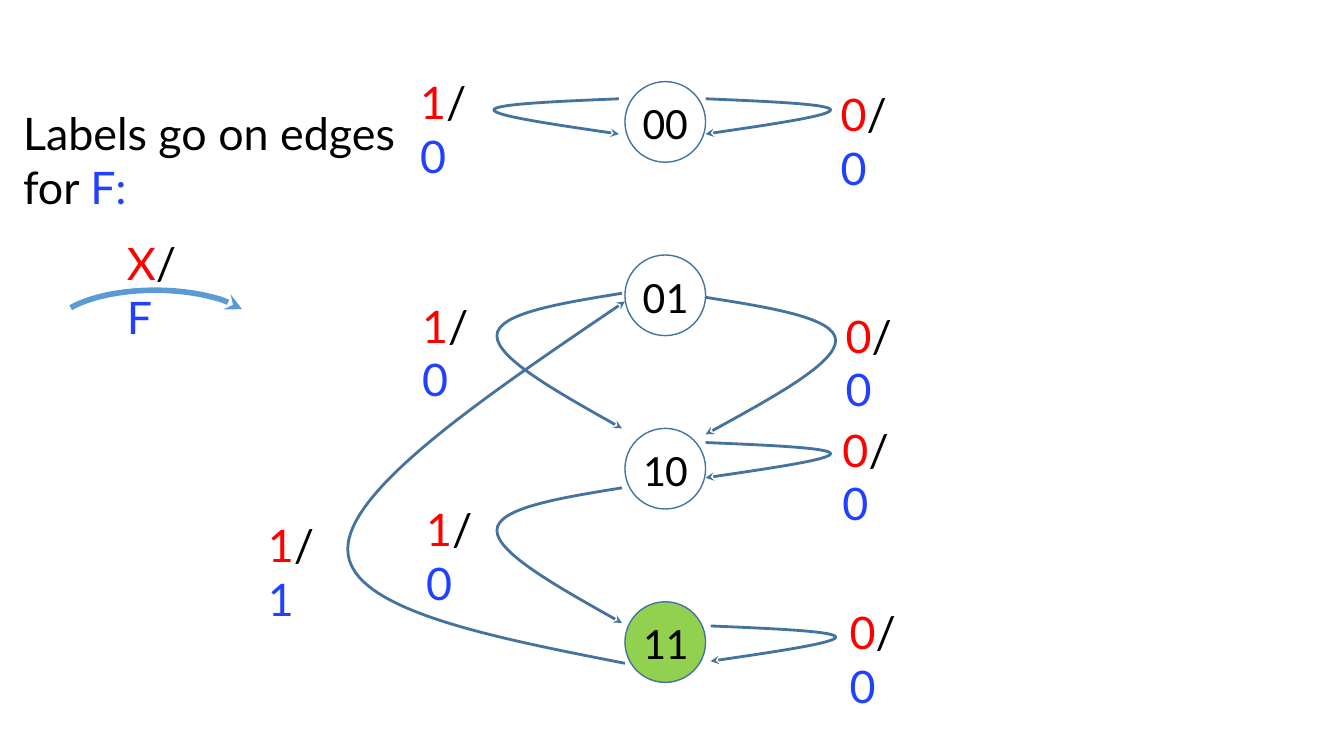
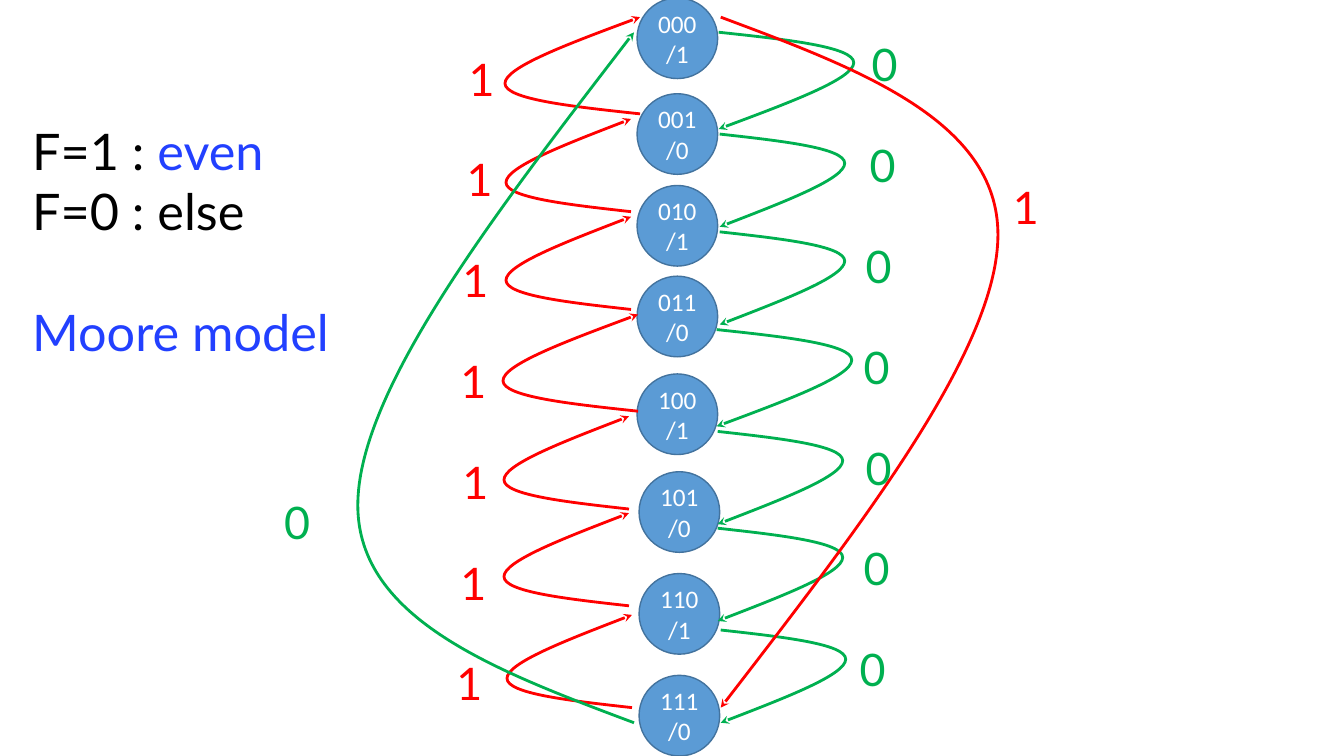
import lxml.etree
import pptx
import pptx.dml.color
import pptx.enum.shapes
import pptx.enum.text
import pptx.oxml.ns
import pptx.util

# Every length is in grid cells; the slide has 133.33 columns and 75 rows
COLS, ROWS = 133.33, 75
CELL = pptx.util.Inches(0.1)

BLACK, WHITE = "000000", "FFFFFF"
RED, BLUE, GREEN = "FF0000", "2240FF", "00B050"
NODE_FILL, NODE_EDGE, ACCEPT = "5B9BD5", "43739E", "92D050"
BODY_FONT, NODE_FONT = "Lato", "Calibri"
NODE_SIZE = 8

SHAPE = pptx.enum.shapes.MSO_SHAPE
ALIGN = pptx.enum.text.PP_ALIGN
ANCHOR = pptx.enum.text.MSO_ANCHOR
qn = pptx.oxml.ns.qn


def grid(*cells):
    return [pptx.util.Emu(round(c * CELL)) for c in cells]


def paint(fmt, color):
    """Give a fill or a font one solid colour."""
    if hasattr(fmt, "solid"):
        fmt.solid()
        fmt.fore_color.rgb = pptx.dml.color.RGBColor.from_string(color)
    else:
        fmt.color.rgb = pptx.dml.color.RGBColor.from_string(color)


def write(tf, lines, size, font=BODY_FONT, align=ALIGN.LEFT):
    """Write lines, each a list of (text, colour) runs."""
    for i, runs in enumerate(lines):
        p = tf.paragraphs[0] if i == 0 else tf.add_paragraph()
        p.alignment = align
        for text, color in runs:
            r = p.add_run()
            r.text = text
            r.font.size = pptx.util.Pt(size)
            r.font.name = font
            paint(r.font, color)


def add_text(s, box, lines, size=32, anchor=ANCHOR.TOP):
    sp = s.shapes.add_textbox(*grid(*box))
    tf = sp.text_frame
    tf.word_wrap = True
    tf.vertical_anchor = anchor
    write(tf, lines, size)
    return sp


def add_node(s, x, y, lines, size, fill, color):
    sp = s.shapes.add_shape(SHAPE.OVAL, *grid(x, y, NODE_SIZE, NODE_SIZE))
    sp.shadow.inherit = False
    paint(sp.fill, fill)
    paint(sp.line.fill, NODE_EDGE)
    sp.line.width = pptx.util.Pt(1)
    tf = sp.text_frame
    tf.margin_left = tf.margin_right = tf.margin_top = tf.margin_bottom = 0
    tf.word_wrap = True
    tf.vertical_anchor = ANCHOR.MIDDLE
    write(tf, [[(text, color)] for text in lines], size, NODE_FONT, ALIGN.CENTER)


def style_arrow(sp, color, width):
    sp.shadow.inherit = False
    sp.fill.background()
    paint(sp.line.fill, color)
    sp.line.width = pptx.util.Pt(width)
    ln = sp.line._get_or_add_ln()
    lxml.etree.SubElement(ln, qn("a:tailEnd"), type="stealth")


def add_edge(s, x, y, bulge, drop, color):
    """Curved arrow from (x, y) to (x, y + drop), bulging sideways."""
    shares = [(0.5, 0.075), (1, 0.15), (1, 0.315), (1, 0.48), (0.5, 0.74), (0, 1)]
    points = [grid(x + bulge * u, y + drop * v) for u, v in shares]
    builder = s.shapes.build_freeform(*grid(x, y))
    builder.add_line_segments(points, close=False)
    sp = builder.convert_to_shape()
    # Each three straight segments become one cubic curve
    outline = next(sp._element.iter(qn("a:path")))
    segments = outline.findall(qn("a:lnTo"))
    for i in range(0, len(segments), 3):
        curve = lxml.etree.SubElement(outline, qn("a:cubicBezTo"))
        for segment in segments[i:i + 3]:
            curve.append(segment[0])
            outline.remove(segment)
    style_arrow(sp, color, 2)


def add_io_label(s, x, y, given, result):
    add_text(s, (x, y, 8.6, 6.4), [[(given, RED), ("/", BLACK), (result, BLUE)]])


def add_digit(s, x, y, digit, color):
    add_text(s, (x, y, 4.4, 6.4), [[(digit, color)]])


def mealy_slide(s):
    # States
    for i, name in enumerate(["00", "01", "10", "11"]):
        fill = ACCEPT if name == "11" else WHITE
        add_node(s, 62, 8.1 + 17.2 * i, [name], 32, fill, BLACK)

    # Transitions: start x, start y, bulge, drop
    edges = [(70, 9.8, 12.4, 3.5), (70, 29.5, 12.9, 13.6),
             (70, 43.9, 12.4, 3.5), (70.5, 62.1, 12.4, 3.5),
             (61.4, 9.8, -12.4, 3.5), (61.7, 29.1, -12.4, 13.4),
             (61.7, 48.4, -12.4, 13.4), (62, 65.8, -27.5, -35.9)]
    for edge in edges:
        add_edge(s, *edge, NODE_EDGE)

    # Explanation
    sp = add_text(s, (1.3, 10, 41.8, 11.8),
                  [[("Labels go on edges", BLACK)], [("for ", BLACK), ("F:", BLUE)]])
    paint(sp.fill, WHITE)

    # Input/output labels
    labels = [(82.4, 8.1, "0", "0"), (82.9, 30.1, "0", "0"),
              (82.6, 41.4, "0", "0"), (83.3, 59.5, "0", "0"),
              (40.7, 6.9, "1", "0"), (40.9, 29.1, "1", "0"),
              (41.3, 49.3, "1", "0"), (25.6, 50.9, "1", "1"),
              (11.6, 22.9, "X", "F")]
    for label in labels:
        add_io_label(s, *label)

    # Key arrow
    sp = s.shapes.add_shape(SHAPE.ARC, *grid(5.1, 28.8, 20.6, 8.3))
    for i, degrees in enumerate([196.07, 345.26]):
        sp.adjustments[i] = degrees * 0.6
    style_arrow(sp, NODE_FILL, 4)


def moore_slide(s):
    # States
    tops = [-0.2, 9.3, 18.4, 27.4, 37.1, 46.8, 56.9, 67]
    for i, top in enumerate(tops):
        left = 63.2 if i < 5 else 63.4
        add_node(s, left, top, [f"{i:03b}", f"/{1 - i % 2}"], 18, NODE_FILL, WHITE)

    # Steps between neighbours: x, y, bulge and drop of the downward arrow
    wide, narrow = (13.4, 9.6), (12.4, 9.2)
    steps = [(71.3, 3.2, *wide), (71.4, 13.3, *narrow), (71.4, 23, *narrow),
             (71.1, 32.7, *wide), (71.2, 42.8, *narrow), (71.2, 52.4, *narrow),
             (71.5, 62.5, *narrow)]
    for x, y, bulge, drop in steps:
        add_edge(s, x, y, bulge, drop, GREEN)
        add_edge(s, x - 21.2 + bulge, y + drop - 1.5, -bulge, -drop, RED)

    # Wrap-around transitions
    add_edge(s, 62.9, 71.7, -27.4, -68.5, GREEN)
    add_edge(s, 71.5, 1.7, 27.5, 68.5, RED)

    # Input labels
    for i, x in enumerate([45.5, 45.3, 44.9, 44.7, 44.9, 44.7, 44.3]):
        y = 4.6 + 10 * i
        add_digit(s, x, y, "1", RED)
        add_digit(s, x + 40, y - 1.4, "0", GREEN)
    add_digit(s, 99.5, 17.3, "1", RED)
    add_digit(s, 27.2, 48.6, "0", GREEN)

    # Explanation
    sp = add_text(s, (2.2, 5.9, 54.2, 36),
                  [[("F=1 : ", BLACK), ("even", BLUE)], [("F=0 : else", BLACK)],
                   [("Moore model", BLUE)]], 36, ANCHOR.MIDDLE)
    sp.text_frame.paragraphs[-1].space_before = pptx.util.Pt(43)


def main():
    prs = pptx.Presentation()
    prs.slide_width, prs.slide_height = grid(COLS, ROWS)
    for build in (mealy_slide, moore_slide):
        build(prs.slides.add_slide(prs.slide_layouts[6]))
    prs.save("out.pptx")


if __name__ == "__main__":
    main()
